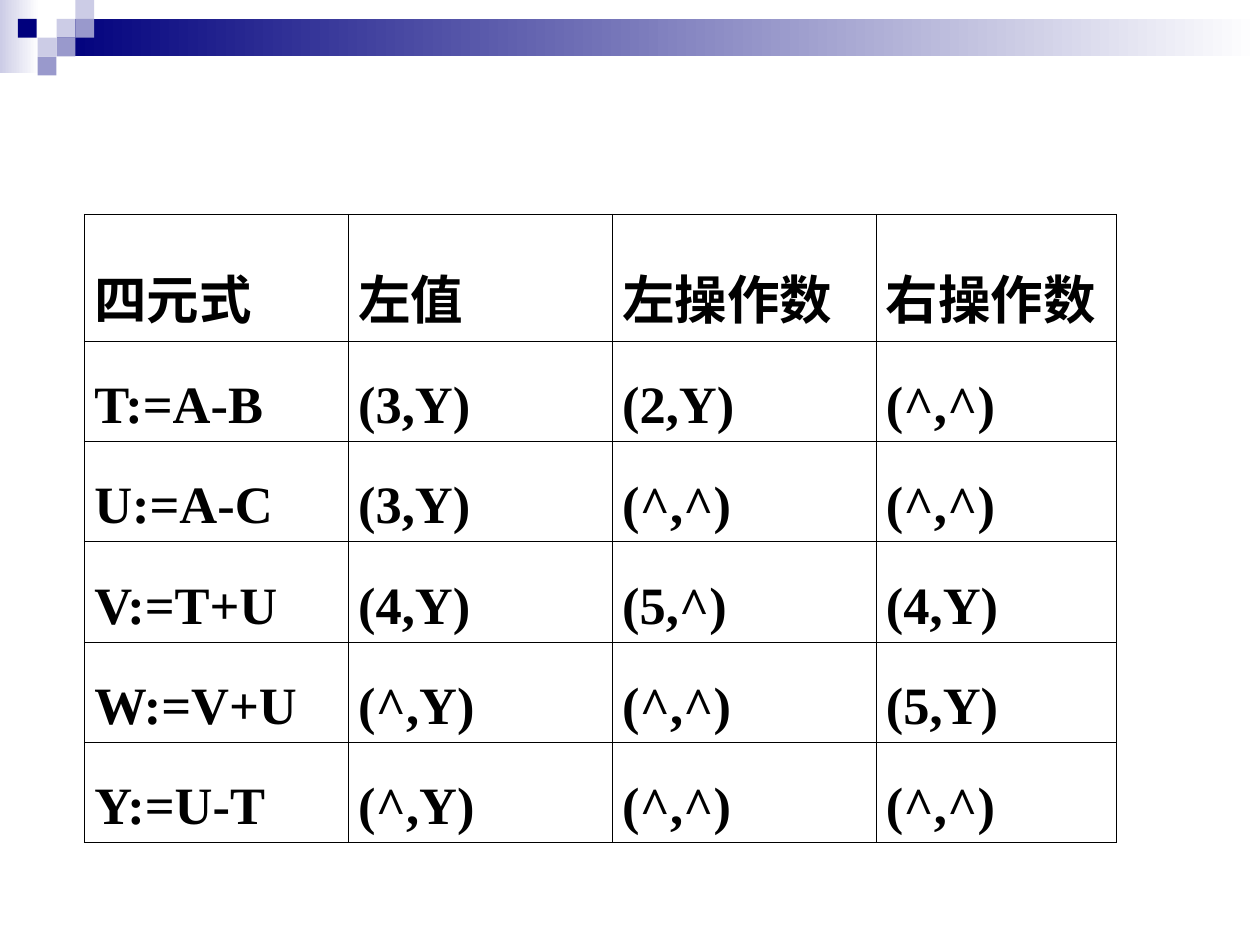
from lxml import etree
from pptx import Presentation
from pptx.dml.color import RGBColor
from pptx.enum.shapes import MSO_SHAPE
from pptx.enum.text import PP_ALIGN
from pptx.oxml.ns import qn
from pptx.util import Cm, Pt

NAVY, LAVENDER, PALE, WHITE, BLACK = "00007D", "9999CC", "CCCCE6", "FFFFFF", "000000"
UNIT = 0.38  # side of a small banner square, cm
SQUARES = [  # column and row in units, colour
    (3, 1, PALE), (4, 0, PALE), (4, 1, LAVENDER), (2, 2, PALE),
    (0.95, 1, NAVY), (3, 2, LAVENDER), (2, 3, LAVENDER),
]
ROWS = [
    ["四元式", "左值", "左操作数", "右操作数"],
    ["T:=A-B", "(3,Y)", "(2,Y)", "(^,^)"],
    ["U:=A-C", "(3,Y)", "(^,^)", "(^,^)"],
    ["V:=T+U", "(4,Y)", "(5,^)", "(4,Y)"],
    ["W:=V+U", "(^,Y)", "(^,^)", "(5,Y)"],
    ["Y:=U-T", "(^,Y)", "(^,^)", "(^,^)"],
]
COLUMN_WIDTHS = [5.32, 5.32, 5.32, 4.84]
MARGINS = {"margin_left": Cm(0.2), "margin_right": Cm(0.2),
           "margin_top": Cm(0.13), "margin_bottom": Cm(0.13)}
PARA_FORMAT = {"alignment": PP_ALIGN.JUSTIFY, "line_spacing": 1.5}
FONT_FORMAT = {"name": "Times New Roman", "size": Pt(30), "bold": True}


def colour(value):
    return RGBColor.from_string(value)


def set_all(target, values):
    for name, value in values.items():
        setattr(target, name, value)


def add_block(page, left, top, width, height, start, end=None):
    """Add a borderless rectangle, fading rightwards to end if that is given."""
    box = page.shapes.add_shape(
        MSO_SHAPE.RECTANGLE, Cm(left), Cm(top), Cm(width), Cm(height))
    box.shadow.inherit = False
    box.line.fill.background()
    if end is None:
        box.fill.solid()
        box.fill.fore_color.rgb = colour(start)
        return
    box.fill.gradient()
    box.fill.gradient_angle = 0
    for stop, value in zip(box.fill.gradient_stops, (start, end)):
        stop.color.rgb = colour(value)


def add_banner(page, left, top, width):
    add_block(page, left, top, 0.79, 1.47, PALE, WHITE)
    bar_left = 3 * UNIT
    add_block(page, left + bar_left, top + UNIT, width - bar_left, 2 * UNIT, NAVY, WHITE)
    for column, row, value in SQUARES:
        add_block(page, left + column * UNIT, top + row * UNIT, UNIT, UNIT, value)


def add_borders(cell, value, width):
    properties = cell._tc.get_or_add_tcPr()
    for index, side in enumerate(("lnL", "lnR", "lnT", "lnB")):
        line = etree.Element(qn(f"a:{side}"), w=str(int(Pt(width))))
        fill = etree.SubElement(line, qn("a:solidFill"))
        etree.SubElement(fill, qn("a:srgbClr"), val=value)
        properties.insert(index, line)


def fill_cell(cell, text):
    set_all(cell, MARGINS)
    cell.fill.background()
    add_borders(cell, BLACK, 0.45)
    para = cell.text_frame.paragraphs[0]
    set_all(para, PARA_FORMAT)
    span = para.add_run()
    span.text = text
    set_all(span.font, FONT_FORMAT)
    span.font.color.rgb = colour(BLACK)


def add_quadruple_table(page, left, top, row_height):
    table = page.shapes.add_table(
        len(ROWS), len(COLUMN_WIDTHS), Cm(left), Cm(top),
        Cm(sum(COLUMN_WIDTHS)), Cm(row_height * len(ROWS))).table
    set_all(table, {"first_row": False, "horz_banding": False})
    for column, width in zip(table.columns, COLUMN_WIDTHS):
        column.width = Cm(width)
    for row, texts in zip(table.rows, ROWS):
        row.height = Cm(row_height)
        for cell, text in zip(row.cells, texts):
            fill_cell(cell, text)


def main():
    deck = Presentation()
    set_all(deck, {"slide_width": Cm(25.4), "slide_height": Cm(19.05)})
    page = deck.slides.add_slide(deck.slide_layouts[6])
    add_banner(page, 0, 0, 25.4)
    add_quadruple_table(page, 1.7, 4.32, 1.9)
    deck.save("out.pptx")


if __name__ == "__main__":
    main()
